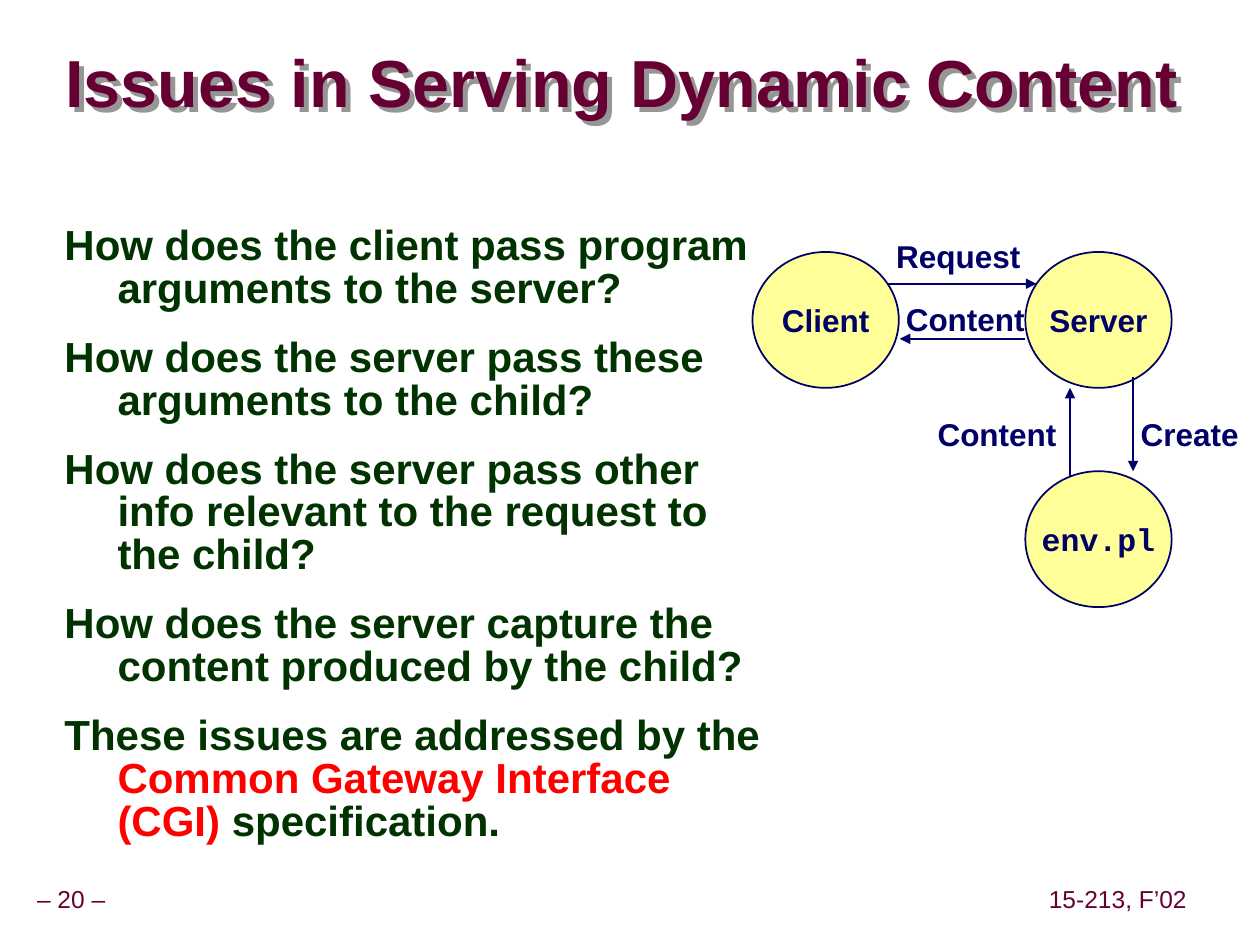
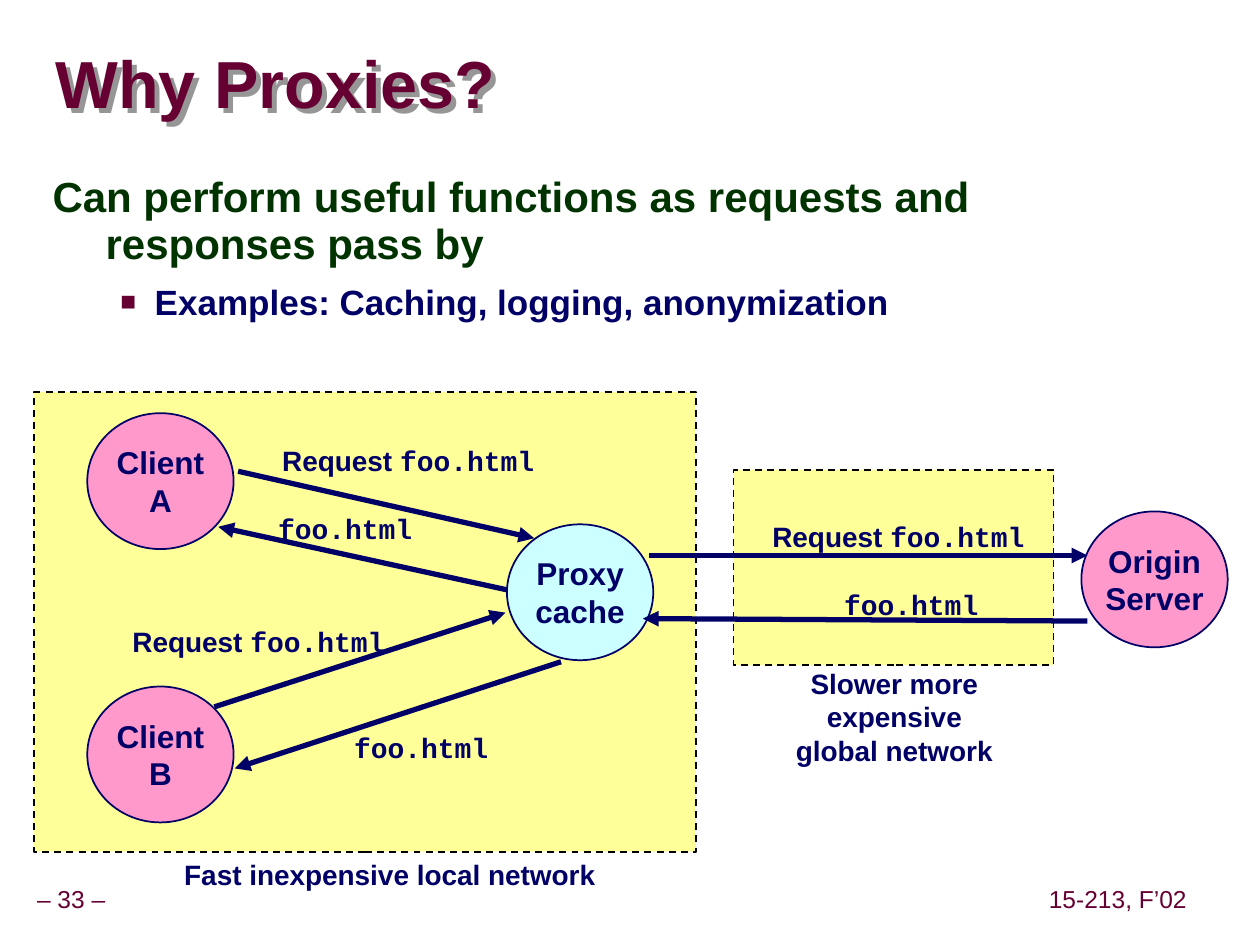
from lxml import etree
from pptx import Presentation
from pptx.dml.color import RGBColor
from pptx.enum.dml import MSO_LINE
from pptx.enum.shapes import MSO_CONNECTOR, MSO_SHAPE
from pptx.enum.text import MSO_ANCHOR, MSO_AUTO_SIZE, PP_ALIGN
from pptx.oxml.ns import qn
from pptx.util import Cm, Pt

LEFT, CENTER = PP_ALIGN.LEFT, PP_ALIGN.CENTER
TOP, MIDDLE = MSO_ANCHOR.TOP, MSO_ANCHOR.MIDDLE
FIT_SHAPE, FIXED = MSO_AUTO_SIZE.SHAPE_TO_FIT_TEXT, MSO_AUTO_SIZE.NONE
OVAL, RECT = MSO_SHAPE.OVAL, MSO_SHAPE.RECTANGLE
STRAIGHT, DASH = MSO_CONNECTOR.STRAIGHT, MSO_LINE.DASH

SANS, MONO = "Arial", "Courier New"
MAROON, NAVY, GREEN, RED = "660033", "000066", "003300", "FF0000"
YELLOW, PINK, AQUA = "FFFF99", "FF99CC", "CCFFFF"
BLACK, SHADOW = "000000", "969696"
NODE_W, NODE_H = 2.95, 2.74


def rgb(value):
    return RGBColor.from_string(value)


def sub(parent, tag, **attrs):
    return etree.SubElement(parent, qn(tag), attrs)


def style(p, size, color, font=SANS, bold=True, align=LEFT):
    p.alignment = align
    p.font.size, p.font.bold, p.font.name = Pt(size), bold, font
    p.font.color.rgb = rgb(color)


def add_runs(p, runs):
    """Add (text, font, colour) runs; None keeps the paragraph's own setting."""
    for text, font, color in runs:
        r = p.add_run()
        r.text = text
        if font:
            r.font.name = font
        if color:
            r.font.color.rgb = rgb(color)


def plain(text, font=None):
    return [(text, font, None)]


def add_lines(tf, lines, size, color=NAVY, **kwargs):
    """Write one styled paragraph for each list of runs."""
    for i, runs in enumerate(lines):
        p = tf.add_paragraph() if i else tf.paragraphs[0]
        style(p, size, color, **kwargs)
        add_runs(p, runs)


def add_text(slide, x, y, w, h, lines, size, wrap=False, anchor=TOP, **kwargs):
    sp = slide.shapes.add_textbox(Cm(x), Cm(y), Cm(w), Cm(h))
    tf = sp.text_frame
    tf.word_wrap, tf.vertical_anchor = wrap, anchor
    tf.auto_size = FIXED if wrap else FIT_SHAPE
    add_lines(tf, lines, size, **kwargs)
    return tf


def add_panel(slide, shape, x, y, w, h, fill, line):
    sp = slide.shapes.add_shape(shape, Cm(x), Cm(y), Cm(w), Cm(h))
    sp.shadow.inherit = False
    sp.fill.solid()
    sp.fill.fore_color.rgb = rgb(fill)
    sp.line.color.rgb, sp.line.width = rgb(line), Pt(1)
    return sp


def add_node(slide, x, y, lines, fill, font=SANS):
    sp = add_panel(slide, OVAL, x, y, NODE_W, NODE_H, fill, NAVY)
    tf = sp.text_frame
    tf.word_wrap, tf.vertical_anchor = False, MIDDLE
    add_lines(tf, [plain(line) for line in lines], 18, font=font, align=CENTER)


def add_network(slide, x, y, w, h):
    add_panel(slide, RECT, x, y, w, h, YELLOW, BLACK).line.dash_style = DASH


def add_arrow(slide, x, y, start, end, width):
    """Draw an arrow between two points given relative to (x, y)."""
    (x1, y1), (x2, y2) = start, end
    line = slide.shapes.add_connector(STRAIGHT, Cm(x + x1), Cm(y + y1), Cm(x + x2), Cm(y + y2))
    line.line.color.rgb, line.line.width = rgb(NAVY), Pt(width)
    sub(line.line._get_or_add_ln(), "a:tailEnd", type="triangle")
    sub(line._element.spPr, "a:effectLst")


def add_title(slide, text, x, y, w, h, inset):
    sp = slide.shapes.title
    sp.left, sp.top, sp.width, sp.height = Cm(x), Cm(y), Cm(w), Cm(h)
    tf = sp.text_frame
    tf.word_wrap, tf.vertical_anchor = True, MIDDLE
    tf.margin_left = tf.margin_right = Cm(inset)
    tf.margin_top = tf.margin_bottom = 0
    add_lines(tf, [plain(text)], 38, color=MAROON)
    tf.paragraphs[0].line_spacing = 0.87
    effects = sub(sp._element.spPr, "a:effectLst")
    shadow = sub(effects, "a:outerShdw", dist=str(Pt(4)), dir="2700000",
                 algn="ctr", rotWithShape="0")
    sub(shadow, "a:srgbClr", val=SHADOW)


def add_footer(slide, number):
    for text, x, w in ((f"– {number} –", -0.23, 3.33), ("15-213, F’02", 21.01, 3.05)):
        tf = add_text(slide, x, 17.77, w, 0.79, [plain(text)], 14, anchor=MIDDLE,
                      color=MAROON, bold=False, align=CENTER)
        tf.margin_left = tf.margin_right = Cm(0.13)
        tf.paragraphs[0].line_spacing = 0.9


def indent(p, left, hanging):
    pPr = p._p.get_or_add_pPr()
    pPr.set("marL", str(Cm(left)))
    pPr.set("indent", str(Cm(-hanging)))
    return pPr


def add_statements(slide, x, y, w, h, lines, spacing):
    tf = add_text(slide, x, y, w, h, lines, 24, wrap=True, color=GREEN)
    for p in tf.paragraphs:
        indent(p, 1.07, 1.07)
        p.line_spacing, p.space_before = spacing, Pt(15)
    return tf


def add_bullet(tf, text):
    p = tf.add_paragraph()
    p.level = 1
    p.space_before = Pt(6.2)
    pPr = indent(p, 2.06, 0.69)
    sub(sub(pPr, "a:buClr"), "a:srgbClr", val=MAROON)
    sub(pPr, "a:buSzPct", val="75000")
    sub(pPr, "a:buFont", typeface=SANS)
    sub(pPr, "a:buChar", char="■")
    style(p, 20, NAVY)
    add_runs(p, plain(text))


def cgi_diagram(slide, x, y):
    server_x, child_y = 5.5, 4.42
    add_node(slide, x, y, ["Client"], YELLOW)
    add_node(slide, x + server_x, y, ["Server"], YELLOW)
    # start, end, label, label left, label top, label width
    for start, end, text, left, top, w in (
        ((2.74, 0.64), (5.72, 0.64), "Request", 2.64, -0.43, 3.02),
        ((server_x, 1.75), (2.97, 1.75), "Content", 2.84, 0.84, 2.9),
        ((6.4, 4.65), (6.4, NODE_H), "Content", 3.48, 3.15, 2.9),
        ((7.67, 2.51), (7.67, child_y), "Create", 7.57, 3.15, 2.49),
    ):
        add_arrow(slide, x, y, start, end, 1)
        add_text(slide, x + left, y + top, w, 1.02, [plain(text)], 18,
                 anchor=MIDDLE, align=CENTER)
    add_node(slide, x + server_x, y + child_y, ["env.pl"], YELLOW, MONO)


def proxy_diagram(slide, x, y):
    add_network(slide, x + 14.1, y + 1.57, 6.45, 3.94)
    add_network(slide, x, y, 13.34, 9.27)
    for left, top, lines, fill in (
        (1.07, 0.43, ["Client", "A"], PINK),
        (1.07, 5.94, ["Client", "B"], PINK),
        (9.53, 2.67, ["Proxy", "cache"], AQUA),
        (21.11, 2.41, ["Origin", "Server"], PINK),
    ):
        add_node(slide, x + left, y + top, lines, fill)

    reply = plain("foo.html", MONO)
    request = plain("Request ") + reply
    # start, end, label, label left, label top
    for start, end, runs, left, top in (
        ((4.11, 1.6), (10.08, 2.95), request, 4.75, 0.91),
        ((9.53, 3.99), (3.71, 2.72), reply, 4.67, 2.29),
        ((12.4, 3.3), (21.23, 3.3), request, 14.63, 2.44),
        ((21.23, 4.62), (12.27, 4.57), reply, 16.08, 3.81),
        ((3.63, 6.35), (9.5, 4.45), request, 1.73, 4.57),
        ((10.62, 5.44), (4.04, 7.59), reply, 6.2, 6.71),
    ):
        add_arrow(slide, x, y, start, end, 3)
        width = 5.65 if runs is request else 3.25
        add_text(slide, x + left, y + top, width, 0.94, [runs], 16)

    add_text(slide, x + 2.67, y + 9.27, 9, 0.94,
             [plain("Fast inexpensive local network")], 16, align=CENTER)
    add_text(slide, x + 14.99, y + 5.41, 4.7, 2.29,
             [plain(t) for t in ("Slower more", "expensive", "global network")],
             16, wrap=True, align=CENTER)


def dynamic_content_slide(slide):
    add_title(slide, "Issues in Serving Dynamic Content", 1.07, 0.94, 23.06, 1.6, 0.25)
    questions = [plain(t) for t in (
        "How does the client pass program arguments to the server?",
        "How does the server pass these arguments to the child?",
        "How does the server pass other info relevant to the request to the child?",
        "How does the server capture the content produced by the child?",
    )]
    answer = [("These issues are addressed by the ", None, None),
              ("Common Gateway Interface (CGI) ", None, RED),
              ("specification.", None, None)]
    add_statements(slide, 1.05, 4.43, 14.88, 13.41, questions + [answer], 0.85)
    cgi_diagram(slide, 15.17, 5.08)
    add_footer(slide, 20)


def proxies_slide(slide):
    add_title(slide, "Why Proxies?", 1.12, 0.69, 24.21, 2.16, 0)
    tf = add_statements(
        slide, 0.81, 3.38, 23.09, 4.6,
        [plain("Can perform useful functions as requests and responses pass by")], 0.95)
    add_bullet(tf, "Examples: Caching, logging, anonymization")
    proxy_diagram(slide, 0.69, 7.9)
    add_footer(slide, 33)


def main():
    prs = Presentation()
    prs.slide_width, prs.slide_height = Cm(25.4), Cm(19.05)
    title_only = prs.slide_layouts[5]
    for build in (dynamic_content_slide, proxies_slide):
        build(prs.slides.add_slide(title_only))
    prs.save("out.pptx")


if __name__ == "__main__":
    main()
